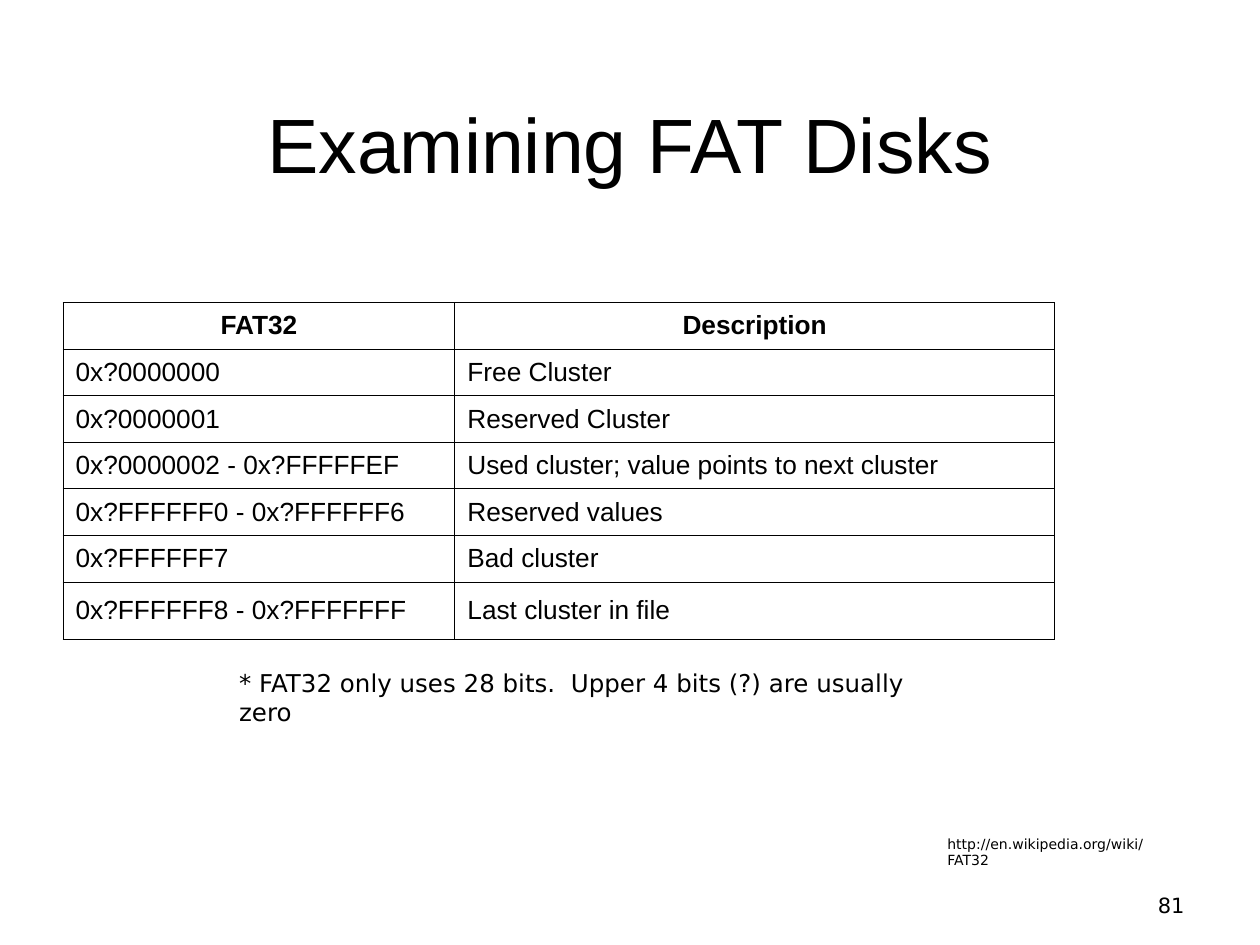
from lxml.etree import SubElement
from pptx import Presentation
from pptx.dml.color import RGBColor
from pptx.enum.text import MSO_ANCHOR, PP_ALIGN
from pptx.oxml.ns import qn
from pptx.util import Inches, Pt

COLORS = {"ink": "000000", "paper": "FFFFFF"}
SANS = "DejaVu Sans"
HEAD = ("FAT32", "Description")
ROWS = [
    ("0x?0000000", "Free Cluster"),
    ("0x?0000001", "Reserved Cluster"),
    ("0x?0000002 - 0x?FFFFFEF", "Used cluster; value points to next cluster"),
    ("0x?FFFFFF0 - 0x?FFFFFF6", "Reserved values"),
    ("0x?FFFFFF7", "Bad cluster"),
    ("0x?FFFFFF8 - 0x?FFFFFFF", "Last cluster in file"),
]


def put_text(frame, text, size, font=SANS, bold=False, align=PP_ALIGN.LEFT, hang=0):
    para = frame.paragraphs[0]
    para.alignment = align
    if hang:
        props = para._p.get_or_add_pPr()
        props.set("marL", str(Inches(hang)))
        props.set("indent", str(-Inches(hang)))
    run = para.add_run()
    run.text = text
    run.font.size = Pt(size)
    run.font.name = font
    run.font.bold = bold
    run.font.color.rgb = RGBColor.from_string(COLORS["ink"])


def add_label(slide, box, text, size, anchor=MSO_ANCHOR.TOP, **style):
    frame = slide.shapes.add_textbox(*map(Inches, box)).text_frame
    frame.word_wrap = True
    frame.vertical_anchor = anchor
    put_text(frame, text, size, **style)


def add_border(cell):
    props = cell._tc.get_or_add_tcPr()
    for place, side in enumerate(("lnL", "lnR", "lnT", "lnB")):
        line = SubElement(props, qn(f"a:{side}"), w=str(Pt(0.45)))
        fill = SubElement(line, qn("a:solidFill"))
        SubElement(fill, qn("a:srgbClr"), val=COLORS["ink"])
        props.insert(place, line)


def add_grid(slide, left, top, widths, heights):
    data = [HEAD] + ROWS
    box = (left, top, sum(widths), sum(heights))
    grid = slide.shapes.add_table(len(data), len(HEAD), *map(Inches, box)).table
    grid.horz_banding = False
    for col, width in zip(grid.columns, widths):
        col.width = Inches(width)
    for r, (row, height) in enumerate(zip(data, heights)):
        grid.rows[r].height = Inches(height)
        for c, text in enumerate(row):
            cell = grid.cell(r, c)
            cell.fill.background()
            cell.vertical_anchor = MSO_ANCHOR.MIDDLE
            add_border(cell)
            align = PP_ALIGN.LEFT if r else PP_ALIGN.CENTER
            put_text(cell.text_frame, text, 15, font="Arial", bold=r == 0,
                     align=align, hang=0.38)


def main():
    deck = Presentation()
    deck.slide_width, deck.slide_height = Inches(10), Inches(7.5)
    slide = deck.slides.add_slide(deck.slide_layouts[6])
    back = slide.background.fill
    back.solid()
    back.fore_color.rgb = RGBColor.from_string(COLORS["paper"])

    add_label(slide, (7.17, 6.83, 2.33, 0.5), "81", 12,
              anchor=MSO_ANCHOR.BOTTOM, align=PP_ALIGN.RIGHT)
    add_label(slide, (0.5, 0.3, 9, 1.25), "Examining FAT Disks", 44,
              anchor=MSO_ANCHOR.BOTTOM, font="Arial", align=PP_ALIGN.CENTER)
    add_label(slide, (7.42, 6.58, 2.01, 0.24),
              "http://en.wikipedia.org/wiki/FAT32", 8)
    add_grid(slide, 0.5, 2.4, (3.11, 4.76), [0.37] * 6 + [0.46])
    add_label(slide, (1.8, 5.25, 5.5, 0.34),
              "* FAT32 only uses 28 bits.  Upper 4 bits (?) are usually zero", 14)
    deck.save("out.pptx")


if __name__ == "__main__":
    main()
